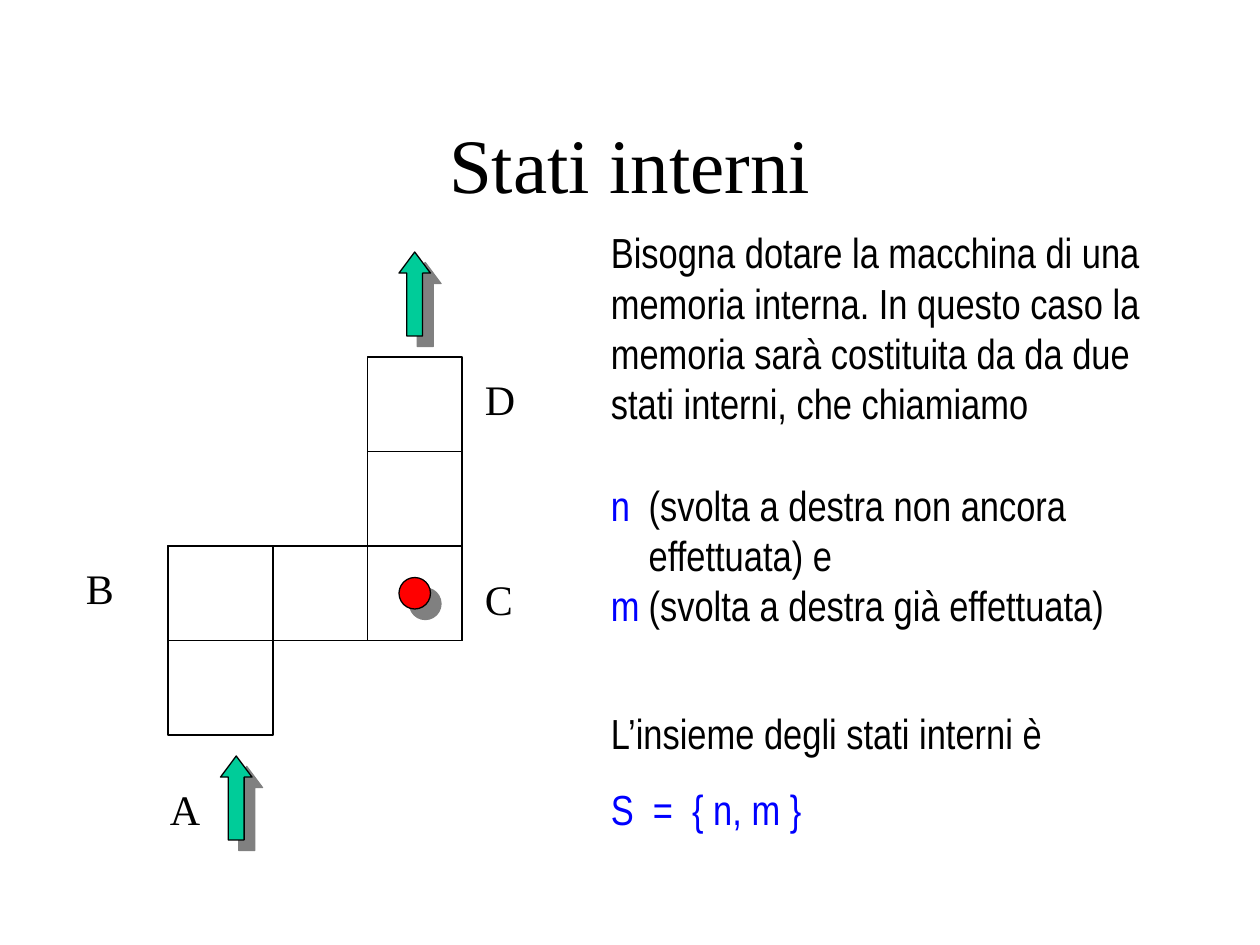
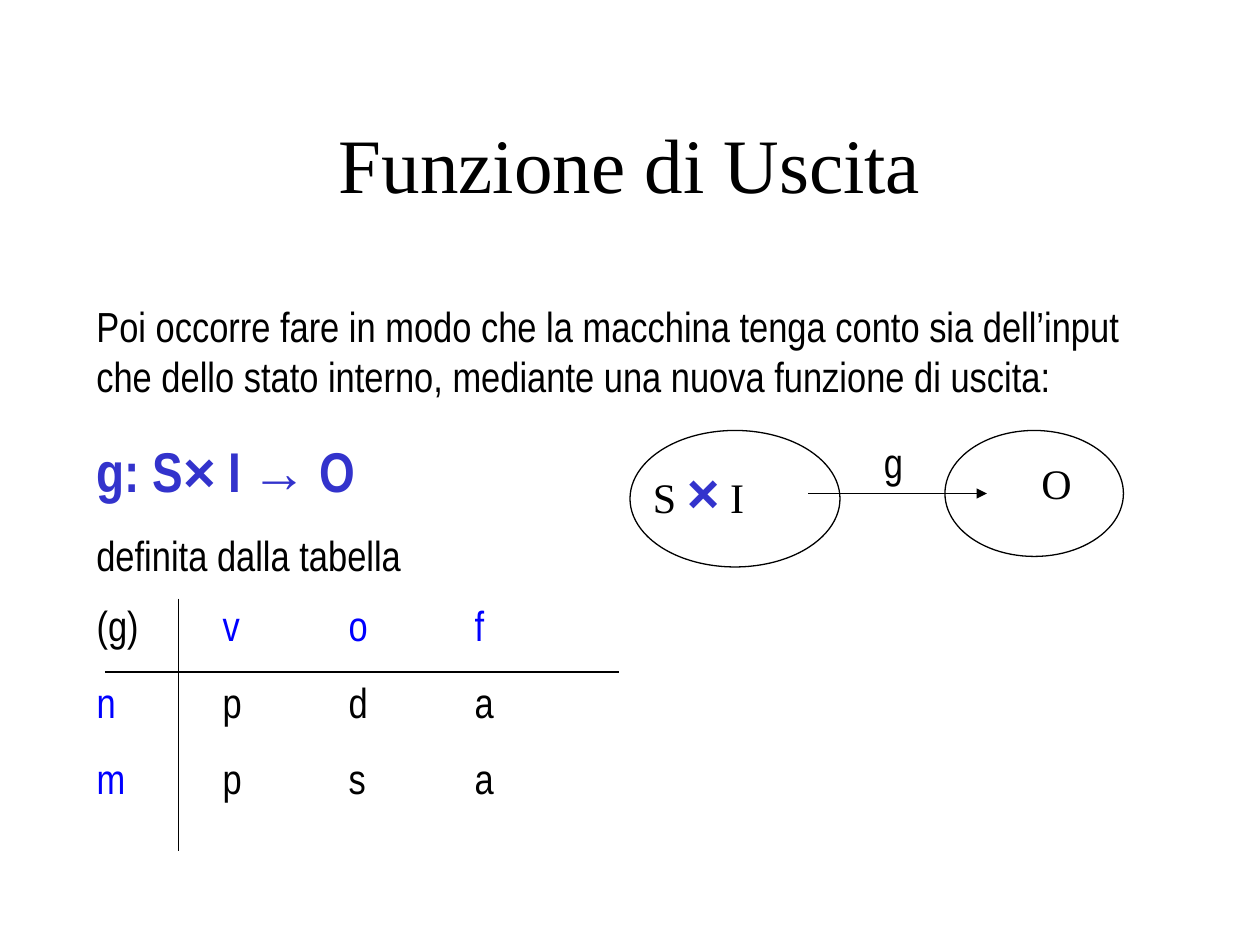
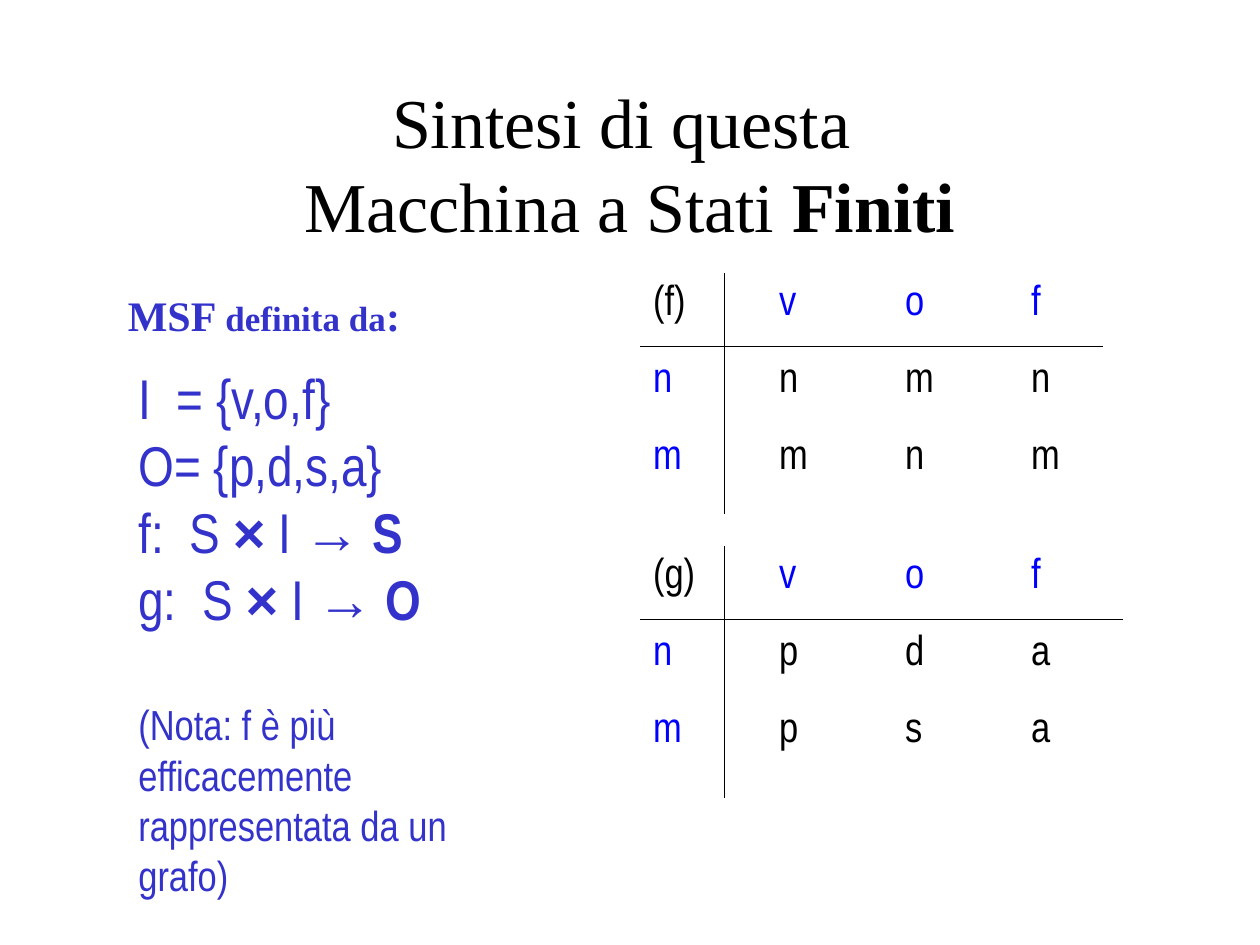
from typing import NamedTuple

from lxml.etree import SubElement
from pptx import Presentation
from pptx.dml.color import RGBColor
from pptx.enum.shapes import MSO_CONNECTOR as Link, MSO_SHAPE as Form
from pptx.enum.text import MSO_ANCHOR as Anchor, MSO_AUTO_SIZE as Auto, PP_ALIGN as Align
from pptx.oxml.ns import qn
from pptx.util import Inches, Pt

BLACK = RGBColor(0x00, 0x00, 0x00)
BLUE = RGBColor(0x00, 0x00, 0xFF)
INDIGO = RGBColor(0x33, 0x33, 0xCC)
GREEN = RGBColor(0x00, 0xCC, 0x99)
RED = RGBColor(0xFF, 0x00, 0x00)
GREY = "808080"

SERIF, NARROW, SANS = "Times New Roman", "Arial Narrow", "Arial"
UNIT = Inches(1) / 12  # grid of 120 columns by 90 rows
NO_STYLE = "{2D5ABB26-0587-4C30-8999-92F81FD0307C}"


class Pen(NamedTuple):
    size: int = 24
    font: str = NARROW
    color: RGBColor = BLACK
    bold: bool = False


BODY = Pen()
KEY = Pen(color=BLUE)
LABEL = Pen(font=SERIF)
TITLE = Pen(44, SERIF)
SYNTH = Pen(40, SERIF)
FORM = Pen(32, color=INDIGO)
STRONG = FORM._replace(bold=True)
SIGN = STRONG._replace(font=SANS)
HEAD = Pen(24, SERIF, INDIGO, True)

G_ROWS = ["(g) v o f", "n p d a", "m p s a"]
F_ROWS = ["(f) v o f", "n n m n", "m m n m"]


def grid(*units):
    return [round(n * UNIT) for n in units]


def write(para, *parts):
    """Add (text, pen) parts as runs; a newline part breaks the line."""
    for text, pen in parts:
        if text == "\n":
            para.add_line_break()
            continue
        run = para.add_run()
        run.text = text
        font = run.font
        font.size, font.name, font.bold = Pt(pen.size), pen.font, pen.bold
        font.color.rgb = pen.color


def add_slide(deck, *title):
    slide = deck.slides.add_slide(deck.slide_layouts[5])
    head = slide.shapes.title
    head.left, head.top, head.width, head.height = grid(9, 8, 102, 15)
    frame = head.text_frame
    frame.auto_size, frame.vertical_anchor = Auto.NONE, Anchor.MIDDLE
    frame.paragraphs[0].alignment = Align.CENTER
    write(frame.paragraphs[0], *title)
    return slide


def add_text(slide, box, *paras):
    """Each para is (space before in points, part, part, ...)."""
    frame = slide.shapes.add_textbox(*grid(*box)).text_frame
    frame.word_wrap = True
    for i, (gap, *parts) in enumerate(paras):
        para = frame.add_paragraph() if i else frame.paragraphs[0]
        para.space_before = Pt(gap)
        write(para, *parts)
    return frame


def hang(para, depth):
    props = para._p.get_or_add_pPr()
    props.set("marL", str(depth))
    props.set("indent", str(-depth))


def add_form(slide, form, box, fill=None):
    """Filled forms also cast a shadow."""
    shape = slide.shapes.add_shape(form, *grid(*box))
    shape.shadow.inherit = False
    shape.line.color.rgb, shape.line.width = BLACK, Pt(0.75)
    if fill is None:
        shape.fill.background()
        return shape
    shape.fill.solid()
    shape.fill.fore_color.rgb = fill
    effects = shape._element.spPr.find(qn("a:effectLst"))
    shade = SubElement(effects, qn("a:outerShdw"), dist=str(Pt(8.5)),
                       dir="2700000", algn="ctr", rotWithShape="0")
    SubElement(shade, qn("a:srgbClr"), val=GREY)
    return shape


def add_arrow(slide, col, row):
    arrow = add_form(slide, Form.UP_ARROW, (col, row, 3, 8), GREEN)
    arrow.adjustments[0], arrow.adjustments[1] = 0.5, 0.67


def add_line(slide, ends, arrow=False):
    line = slide.shapes.add_connector(Link.STRAIGHT, *grid(*ends))
    line.line.color.rgb, line.line.width = BLACK, Pt(0.75)
    props = line._element.spPr
    if arrow:
        SubElement(props.find(qn("a:ln")), qn("a:tailEnd"), type="triangle")
    SubElement(props, qn("a:effectLst"))


def add_states(slide, col, rows, across, down):
    """Table of states by inputs, with a rule across and a rule down."""
    top = down[1] - 0.6
    frame = slide.shapes.add_table(3, 4, *grid(col, top, 48, 21.9))
    table = frame.table
    table.first_row = table.horz_banding = False
    table._tbl.tblPr.find(qn("a:tableStyleId")).text = NO_STYLE
    for r, row in enumerate(rows):
        for c, word in enumerate(row.split()):
            cell = table.cell(r, c)
            cell.fill.background()
            cell.vertical_anchor = Anchor.MIDDLE
            pen = KEY if (r == 0) != (c == 0) else BODY
            write(cell.text_frame.paragraphs[0], (word, pen))
    add_line(slide, across)
    add_line(slide, down)


def inner_states(deck):
    slide = add_slide(deck, ("Stati interni", TITLE))
    for box in [(16, 52, 10, 18), (16, 52, 28, 9), (35, 43, 9, 18), (35, 34, 9, 18)]:
        add_form(slide, Form.RECTANGLE, box)
    for name, col, row in [("A", 15, 74), ("B", 7, 53), ("C", 45, 54), ("D", 45, 35)]:
        add_text(slide, (col, row, 8, 6), (0, (name, LABEL)))
    add_arrow(slide, 21, 72)
    add_arrow(slide, 38, 24)
    add_form(slide, Form.OVAL, (38, 55, 3, 3), RED)
    frame = add_text(
        slide, (57, 21, 53, 59),
        (0, ("Bisogna dotare la macchina di una memoria interna. In questo caso la "
             "memoria sarà costituita da da due stati interni, che chiamiamo", BODY)),
        (29, ("n", KEY), ("\t(svolta a destra non ancora effettuata) e", BODY)),
        (0, ("m", KEY), ("\t(svolta a destra già effettuata)", BODY)),
        (44, ("L’insieme degli stati interni è", BODY)),
        (15, ("S  =  { n, m }", KEY)))
    for para in frame.paragraphs[1:3]:
        hang(para, Inches(0.3))


def output_function(deck):
    slide = add_slide(deck, ("Funzione di Uscita", TITLE))
    add_text(
        slide, (8, 28, 101, 28),
        (0, ("Poi occorre fare in modo che la macchina tenga conto sia dell’input che "
             "dello stato interno, mediante una nuova funzione di uscita:", BODY)),
        (20, ("g: S", STRONG), ("×", SIGN), (" I", STRONG), (" ", KEY),
         ("→", SIGN), (" O", STRONG)),
        (15, ("definita dalla tabella", BODY)))
    add_states(slide, 8, G_ROWS, (10, 64, 59, 64), (17, 57, 17, 81))
    add_form(slide, Form.OVAL, (60, 41, 20, 13))
    add_form(slide, Form.OVAL, (90, 41, 17, 12))
    add_line(slide, (77, 47, 94, 47), arrow=True)
    add_text(slide, (83, 41, 4, 6), (0, ("g", BODY)))
    add_text(slide, (61, 43, 14, 7.7),
             (0, ("S ", LABEL), ("×", SIGN), (" I", LABEL)))
    add_text(slide, (98, 43, 4, 6), (0, ("O", LABEL)))


def synthesis(deck):
    slide = add_slide(deck, ("Sintesi di questa ", SYNTH), ("\n", SYNTH),
                      ("Macchina a Stati ", SYNTH), ("Finiti", SYNTH._replace(bold=True)))
    maps = [(0, (f"{name}  S ", FORM), ("×", SIGN), (" I ", FORM), ("→", SIGN),
             (f" {goal}", STRONG)) for name, goal in [("f:", "S"), ("g:", "O")]]
    add_text(
        slide, (12, 34, 35, 52.4),
        (0, ("I  = {v,o,f}", FORM)),
        (0, ("O= {p,d,s,a}", FORM)),
        *maps,
        (38, ("(Nota: f è più efficacemente rappresentata da un grafo)",
              FORM._replace(size=24))))
    add_text(slide, (11, 27, 37, 6),
             (0, ("MSF ", HEAD), ("definita da", HEAD._replace(size=20)), (":", HEAD)))
    add_states(slide, 61, F_ROWS, (61, 33, 105, 33), (69, 26, 69, 49))
    add_states(slide, 61, G_ROWS, (61, 59, 107, 59), (69, 52, 69, 76))


def main():
    deck = Presentation()
    deck.slide_width, deck.slide_height = grid(120, 90)
    inner_states(deck)
    output_function(deck)
    synthesis(deck)
    deck.save("out.pptx")


if __name__ == "__main__":
    main()
